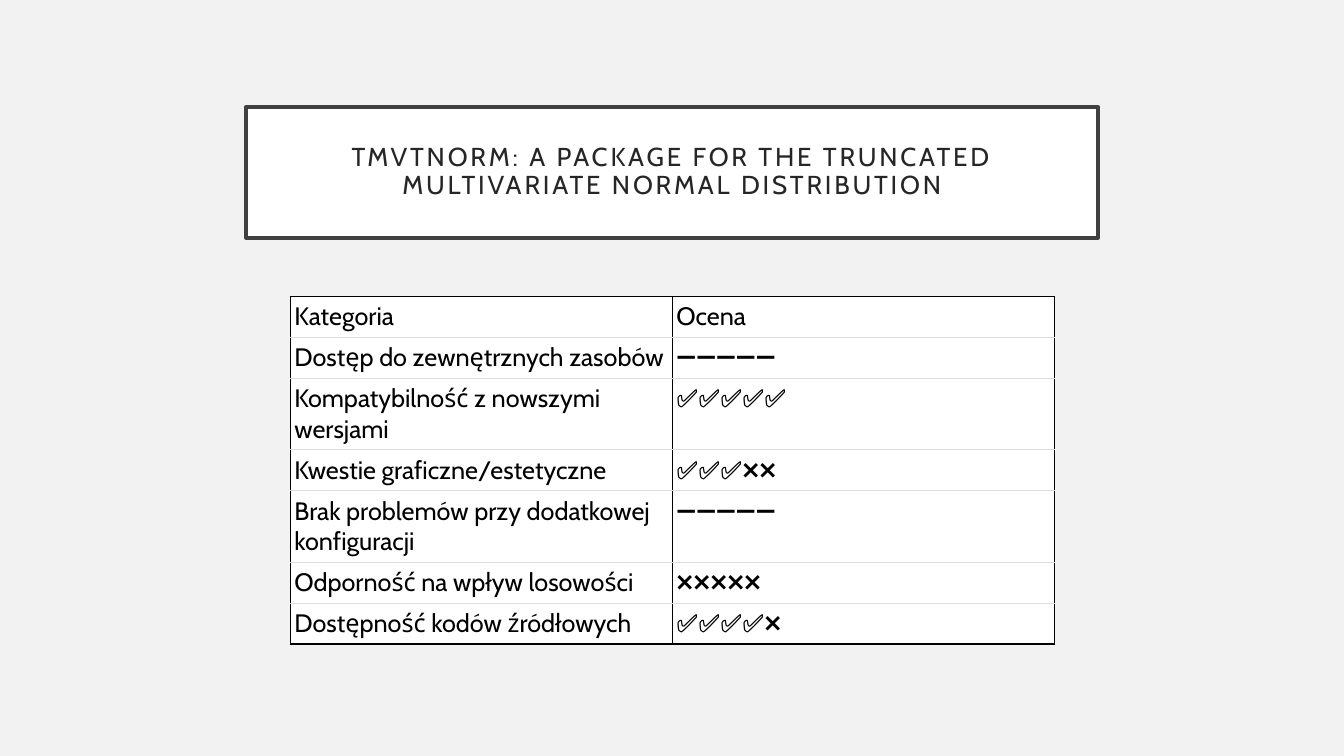
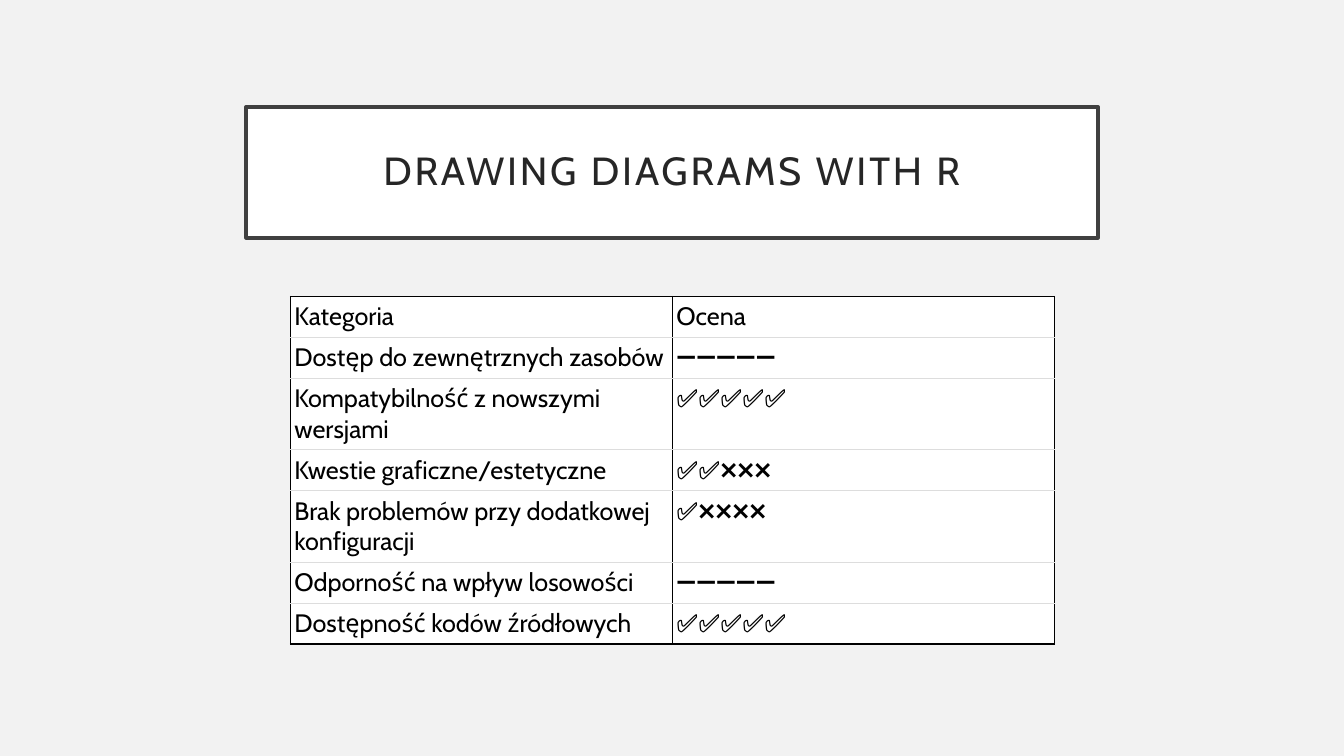
"""Builds two rating slides, each with a framed title and a score table."""
import pptx
import pptx.util
import pptx.dml.color
import pptx.enum.shapes
import pptx.enum.text
import pptx.oxml
import pptx.oxml.ns

Inches, Pt = pptx.util.Inches, pptx.util.Pt

HEAD = ("Kategoria", "Ocena")
LABELS = [
    "Dostęp do zewnętrznych zasobów",
    "Kompatybilność z nowszymi wersjami",
    "Kwestie graficzne/estetyczne",
    "Brak problemów przy dodatkowej konfiguracji",
    "Odporność na wpływ losowości",
    "Dostępność kodów źródłowych",
]
TOP = 5
NONE = "➖" * TOP
SLIDES = [
    ("TMVTNORM: A PACKAGE FOR THE TRUNCATED MULTIVARIATE NORMAL DISTRIBUTION",
     18.5, [None, 5, 3, None, 0, 4]),
    ("DRAWING DIAGRAMS WITH R", 28, [None, 5, 2, 1, None, 5]),
]
FONT = "Cabin"
COLORS = {"back": "F2F2F2", "white": "FFFFFF", "frame": "404040",
          "title": "262626", "text": "000000", "rule": "DDDDDD"}
WIDE, HIGH = 13.33, 7.5
BOX = (2.44, 1.06, 8.45, 1.3)
GRID = (2.88, 2.94, 7.58)
ROW = 0.4


def color(name):
    return pptx.dml.color.RGBColor.from_string(COLORS[name])


def paint(fill, name):
    fill.solid()
    fill.fore_color.rgb = color(name)


def write(para, text, size, name):
    run = para.add_run()
    run.text = text
    run.font.name = FONT
    run.font.size = Pt(size)
    run.font.color.rgb = color(name)
    return run


def marks(score):
    return NONE if score is None else "✅" * score + "❌" * (TOP - score)


def border(cell, side, name, width):
    space = pptx.oxml.ns.nsdecls("a")
    line = pptx.oxml.parse_xml(
        f'<a:ln{side} {space} w="{int(Pt(width))}"><a:solidFill>'
        f'<a:srgbClr val="{COLORS[name]}"/></a:solidFill></a:ln{side}>')
    cell._tc.get_or_add_tcPr().append(line)


def add_title(slide, text, size):
    kind = pptx.enum.shapes.MSO_SHAPE.RECTANGLE
    box = slide.shapes.add_shape(kind, *map(Inches, BOX))
    box.shadow.inherit = False
    paint(box.fill, "white")
    box.line.color.rgb = color("frame")
    box.line.width = Pt(2.5)
    frame = box.text_frame
    frame.word_wrap = True
    frame.vertical_anchor = pptx.enum.text.MSO_ANCHOR.MIDDLE
    frame.margin_left = frame.margin_right = Inches(0.2)
    frame.margin_top = frame.margin_bottom = Inches(0.2)
    para = frame.paragraphs[0]
    para.alignment = pptx.enum.text.PP_ALIGN.CENTER
    para.line_spacing = 0.9
    run = write(para, text, size, "title")
    run._r.get_or_add_rPr().set("spc", "200")


def add_grid(slide, scores):
    rows = [HEAD] + list(zip(LABELS, map(marks, scores)))
    left, top, width = GRID
    count = len(rows)
    table = slide.shapes.add_table(
        count, len(HEAD), Inches(left), Inches(top),
        Inches(width), Inches(ROW * count)).table
    table.first_row = table.horz_banding = False
    for r, row in enumerate(rows):
        for c, text in enumerate(row):
            cell = table.cell(r, c)
            cell.margin_left = cell.margin_right = Inches(0.04)
            cell.margin_top = cell.margin_bottom = Inches(0.05)
            edges = {"T": r == 0, "B": r == count - 1}
            for side in "LR":
                border(cell, side, "text", 1)
            for side, outer in edges.items():
                border(cell, side, *(("text", 1) if outer else ("rule", 0.57)))
            paint(cell.fill, "white")
            write(cell.text_frame.paragraphs[0], text, 18, "text")


deck = pptx.Presentation()
deck.slide_width, deck.slide_height = Inches(WIDE), Inches(HIGH)
paint(deck.slide_master.background.fill, "back")
for title, size, scores in SLIDES:
    slide = deck.slides.add_slide(deck.slide_layouts[6])
    add_title(slide, title, size)
    add_grid(slide, scores)
deck.save("out.pptx")
